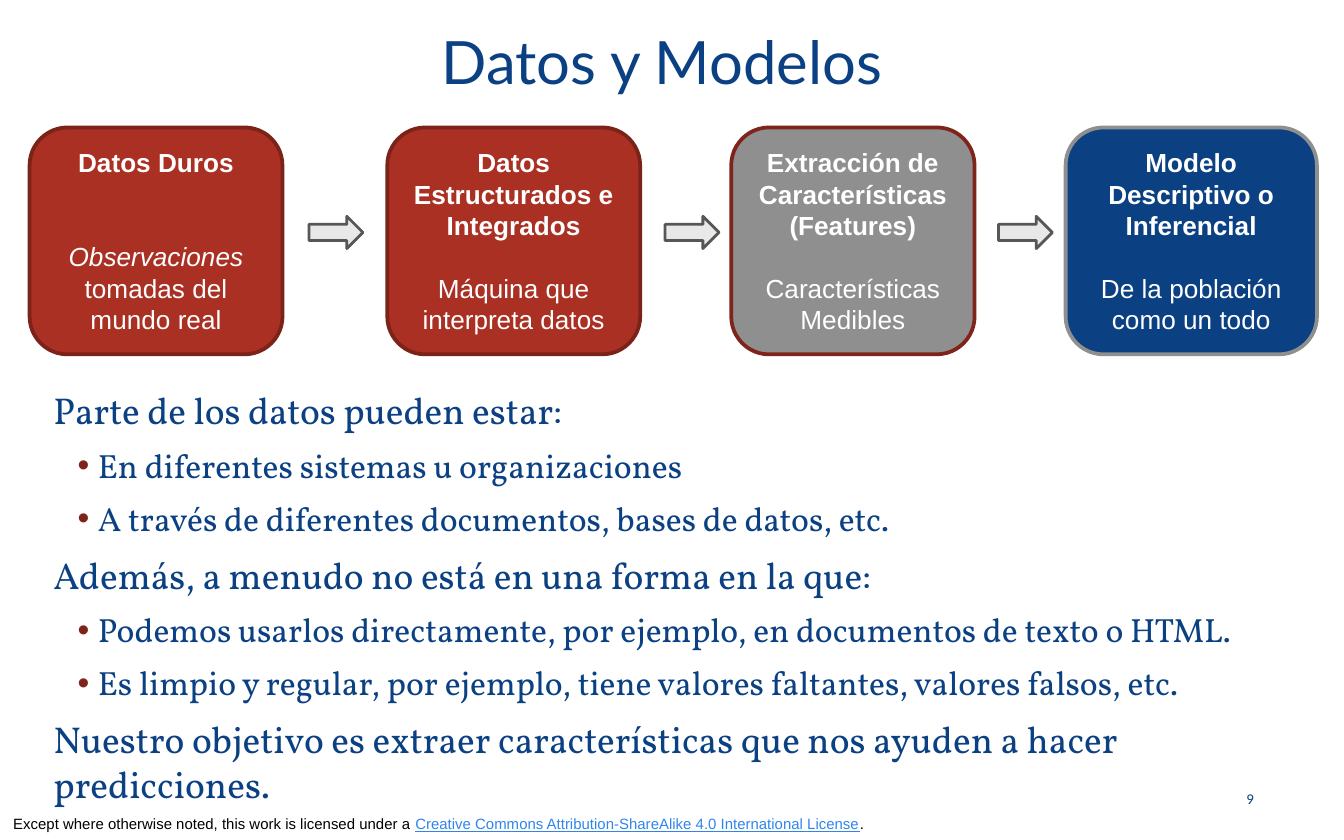
import pptx
import pptx.util
import pptx.dml.color
import pptx.enum.shapes
import pptx.enum.text
import pptx.oxml
import pptx.oxml.ns

Cm = pptx.util.Cm
Pt = pptx.util.Pt
RGB = pptx.dml.color.RGBColor
Align = pptx.enum.text.PP_ALIGN
Anchor = pptx.enum.text.MSO_ANCHOR
Kind = pptx.enum.shapes.MSO_SHAPE

NAVY = RGB(0x0B, 0x41, 0x83)
RED = RGB(0xA9, 0x30, 0x23)
DARK = RGB(0x7B, 0x23, 0x19)
RUST = RGB(0x7E, 0x24, 0x1A)
GRAY = RGB(0x8F, 0x8F, 0x8F)
PALE = RGB(0xE8, 0xE8, 0xE8)
SLATE = RGB(0x57, 0x57, 0x57)
BLUE = RGB(0x30, 0x85, 0xED)
WHITE = RGB(0xFF, 0xFF, 0xFF)
BLACK = RGB(0, 0, 0)


def put(para, text, size=14, font="Arial", color=WHITE, bold=False,
        slant=False, under=False):
    """Add a run of text to a paragraph."""
    run = para.add_run()
    run.text = text
    face = run.font
    face.size, face.name = Pt(size), font
    face.bold, face.italic, face.underline = bold, slant, under
    face.color.rgb = color


class Deck:
    """Holds the style and the current slide."""

    def __init__(self, wide, high):
        self.show = pptx.Presentation()
        self.show.slide_width, self.show.slide_height = Cm(wide), Cm(high)
        self.page = self.show.slides.add_slide(self.show.slide_layouts[6])
        self.sans, self.serif = "Lato", "Vollkorn"

    def frame(self, shape, anchor, pad):
        frame = shape.text_frame
        frame.word_wrap = True
        frame.vertical_anchor = anchor
        frame.margin_left = frame.margin_right = Cm(0.25)
        frame.margin_top = frame.margin_bottom = Cm(pad)
        return frame

    def box(self, left, top, wide, high, anchor=Anchor.MIDDLE, pad=0.13):
        shape = self.page.shapes.add_textbox(
            Cm(left), Cm(top), Cm(wide), Cm(high))
        return self.frame(shape, anchor, pad)

    def label(self, text, place, align, **look):
        para = self.box(*place).paragraphs[0]
        para.alignment = align
        put(para, text, **look)

    def shape(self, kind, place, fill, line, width):
        shape = self.page.shapes.add_shape(kind, *[Cm(v) for v in place])
        shape.shadow.inherit = False
        shape.fill.solid()
        shape.fill.fore_color.rgb = fill
        shape.line.color.rgb = line
        shape.line.width = Pt(width)
        return shape

    def card(self, left, wide, fill, line, head, gap, runs):
        shape = self.shape(Kind.ROUNDED_RECTANGLE, (left, 2.41, wide, 4.29),
                           fill, line, 2)
        frame = self.frame(shape, Anchor.MIDDLE, 0.13)
        title, note = frame.paragraphs[0], frame.add_paragraph()
        title.alignment = note.alignment = Align.CENTER
        put(title, head, bold=True)
        note.space_before = Pt(gap)
        for text, slant in runs:
            put(note, text, slant=slant)

    def arrow(self, left):
        self.shape(Kind.RIGHT_ARROW, (left, 4.09, 1.02, 0.61),
                   PALE, SLATE, 1.5)

    def bullet(self, para):
        props = para._p.get_or_add_pPr()
        space = pptx.oxml.ns.nsdecls("a")
        for part in (f'<a:buClr {space}><a:srgbClr val="{RUST}"/></a:buClr>',
                     f'<a:buFont {space} typeface="Arial"/>',
                     f'<a:buChar {space} char="•"/>'):
            props.append(pptx.oxml.parse_xml(part))

    def body(self, place, items):
        frame = self.box(*place, pad=0.25)
        for i, (level, text) in enumerate(items):
            para = frame.add_paragraph() if i else frame.paragraphs[0]
            props = para._p.get_or_add_pPr()
            props.set("marL", str(Cm(1.3 if level else 0.46)))
            props.set("indent", str(Cm(-0.38 if level else 0)))
            para.level = level
            if i:
                para.space_before = Pt(6.8 if level else 7.2)
            if level:
                self.bullet(para)
            put(para, text, size=18 if level else 20,
                font=self.serif, color=NAVY)


def main():
    deck = Deck(25.4, 15.88)

    # Licence line
    para = deck.box(0, 15.29, 19.05, 0.58, Anchor.BOTTOM).paragraphs[0]
    put(para, "Except where otherwise noted, this work is licensed under a\u00a0".replace("\u00a0", " "),
        size=8, color=BLACK)
    put(para, "Creative Commons Attribution-ShareAlike 4.0 International License",
        size=8, color=BLUE, under=True)
    put(para, ".", size=8, color=BLACK)

    # Title and page number
    deck.label("Datos y Modelos", (1.17, -0.36, 22.68, 3.02), Align.CENTER,
               size=32, font=deck.sans, color=NAVY)
    deck.label("9", (22.81, 14.68, 1.14, 0.84), Align.RIGHT,
               size=8, font="Calibri", color=NAVY)

    # Main text
    deck.body((0.3, 7.04, 24.77, 8.48), [
        (0, "Parte de los datos pueden estar:"),
        (1, "En diferentes sistemas u organizaciones"),
        (1, "A través de diferentes documentos, bases de datos, etc."),
        (0, "Además, a menudo no está en una forma en la que:"),
        (1, "Podemos usarlos directamente, por ejemplo, en documentos de texto o HTML."),
        (1, "Es limpio y regular, por ejemplo, tiene valores faltantes, valores falsos, etc."),
        (0, "Nuestro objetivo es extraer características que nos ayuden a hacer predicciones."),
    ])

    # Steps from data to model
    line = 16.8
    for step in (
        (0.56, 4.78, RED, DARK, "Datos Duros", 2 * line,
         [("Observaciones ", True), ("tomadas del mundo real", False)]),
        (7.32, 4.78, RED, DARK, "Datos Estructurados e Integrados", line,
         [("Máquina que interpreta datos", False)]),
        (13.82, 4.6, GRAY, RUST, "Extracción de Características (Features)",
         line, [("Características Medibles", False)]),
        (20.14, 4.75, NAVY, GRAY, "Modelo Descriptivo o Inferencial", line,
         [("De la población como un todo", False)]),
    ):
        deck.card(*step)
    for left in (5.84, 12.57, 18.87):
        deck.arrow(left)

    deck.show.save("out.pptx")


if __name__ == "__main__":
    main()
